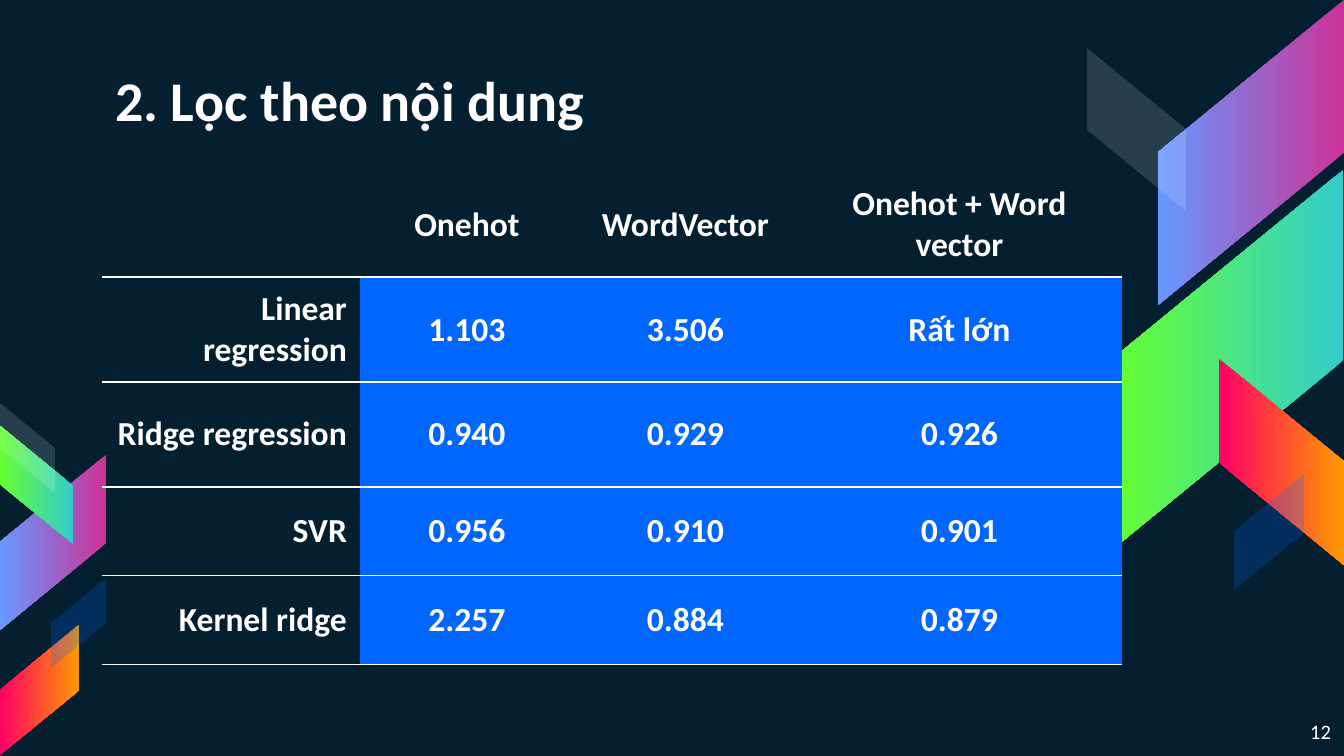
from lxml.etree import SubElement
from pptx import Presentation
from pptx.dml.color import RGBColor
from pptx.enum.shapes import MSO_SHAPE
from pptx.enum.text import MSO_ANCHOR, MSO_AUTO_SIZE, PP_ALIGN
from pptx.oxml.ns import qn
from pptx.util import Emu, Pt

EMU_PER_PX = 914400 / 134.4
WHITE, NAVY, BLUE = "FFFFFF", "041F30", "0066FF"
PINK_BLUE = ("CC3399", "6699FF")
TEAL_GREEN = ("33CCCC", "66FF33")
RED_ORANGE = ("FF0066", "FF9900")

# Each band: left, top, width, height, turn, rising, fill.
# A fill is a pair of gradient colours, or a colour with its opacity in percent.
RIGHT_BANDS = [
    (71, 0, 186, 305, 90, True, PINK_BLUE),
    (26, 170, 230, 379, 90, True, TEAL_GREEN),
    (132, 359, 125, 206, 270, False, RED_ORANGE),
    (0, 48, 99, 163, 270, False, (WHITE, 14)),
    (147, 474, 70, 116, 270, True, (BLUE, 23)),
]
LEFT_BANDS = [
    (0, 52, 106, 175, 90, True, PINK_BLUE),
    (0, 23, 73, 118, 90, False, TEAL_GREEN),
    (0, 222, 79, 130, 270, True, RED_ORANGE),
    (0, 0, 55, 90, 270, False, (WHITE, 14)),
    (51, 175, 55, 90, 270, True, (BLUE, 23)),
]

COLUMN_WIDTHS = [258, 214, 223, 325]
ROW_HEIGHTS = [105, 105, 105, 89, 89]
RESULTS = [
    ["", "Onehot", "WordVector", "Onehot + Word vector"],
    ["Linear regression", "1.103", "3.506", "Rất lớn"],
    ["Ridge regression", "0.940", "0.929", "0.926"],
    ["SVR", "0.956", "0.910", "0.901"],
    ["Kernel ridge", "2.257", "0.884", "0.879"],
]


def px(length):
    return Emu(round(length * EMU_PER_PX))


def rgb(color):
    return RGBColor.from_string(color)


def fill_solid(fill, color, opacity=100):
    fill.solid()
    fill.fore_color.rgb = rgb(color)
    if opacity < 100:
        color_element = next(fill._xPr.iter(qn("a:srgbClr")))
        SubElement(color_element, qn("a:alpha"), val=str(opacity * 1000))


def write(paragraph, text, size, bold=False, align=PP_ALIGN.LEFT):
    paragraph.alignment = align
    run = paragraph.add_run()
    run.text = text
    run.font.name = "Calibri"
    run.font.size = Pt(size)
    run.font.bold = bold
    run.font.color.rgb = rgb(WHITE)


def set_margins(frame, margin):
    frame.margin_left = frame.margin_right = px(margin)
    frame.margin_top = frame.margin_bottom = px(margin)


def add_band(slide, left, top, width, height, turn, rising, paint):
    """Place a parallelogram, turned on its side, in the upright box given."""
    inset = (height - width) / 2
    band = slide.shapes.add_shape(
        MSO_SHAPE.PARALLELOGRAM, px(left - inset), px(top + inset), px(height), px(width)
    )
    band.adjustments[0] = 0.819
    band.rotation = turn
    if rising:
        band._element.spPr.find(qn("a:xfrm")).set("flipH", "1")
    band.shadow.inherit = False
    band.line.fill.background()
    if isinstance(paint[1], int):
        fill_solid(band.fill, *paint)
    else:
        band.fill.gradient()
        band.fill.gradient_angle = 270
        for stop, color in zip(band.fill.gradient_stops, paint):
            stop.color.rgb = rgb(color)


def add_bands(slide, left, top, bands):
    for x, y, *rest in bands:
        add_band(slide, left + x, top + y, *rest)


def add_title(slide, left, top, width, height, text):
    title = slide.shapes.title
    title.left, title.top, title.width, title.height = map(px, (left, top, width, height))
    frame = title.text_frame
    frame.auto_size = MSO_AUTO_SIZE.NONE
    frame.vertical_anchor = MSO_ANCHOR.BOTTOM
    set_margins(frame, 13)
    write(frame.paragraphs[0], text, 30, bold=True)


def set_borders(cell, ruled_sides):
    properties = cell._tc.get_or_add_tcPr()
    for side in "LRTB":
        line = SubElement(properties, qn(f"a:ln{side}"), w=str(Pt(0.75)))
        if side in ruled_sides:
            paint = SubElement(line, qn("a:solidFill"))
            SubElement(paint, qn("a:srgbClr"), val=WHITE)
        else:
            SubElement(line, qn("a:noFill"))


def add_results(slide, left, top):
    table = slide.shapes.add_table(
        len(RESULTS), len(COLUMN_WIDTHS), px(left), px(top),
        px(sum(COLUMN_WIDTHS)), px(sum(ROW_HEIGHTS)),
    ).table
    table.first_row = table.horz_banding = False
    for column, width in zip(table.columns, COLUMN_WIDTHS):
        column.width = px(width)
    for row, height in zip(table.rows, ROW_HEIGHTS):
        row.height = px(height)

    for r, values in enumerate(RESULTS):
        for c, value in enumerate(values):
            cell = table.cell(r, c)
            cell.vertical_anchor = MSO_ANCHOR.MIDDLE
            cell.margin_left = cell.margin_right = px(13)
            cell.margin_top = cell.margin_bottom = px(9)
            set_borders(cell, "TB" if r else "B")
            if r and c:
                fill_solid(cell.fill, BLUE, 23)
            else:
                cell.fill.background()
            if value:
                align = PP_ALIGN.CENTER if c else PP_ALIGN.RIGHT
                write(cell.text_frame.paragraphs[0], value, 18, True, align)


def add_page_number(slide, left, top, width, height, number):
    frame = slide.shapes.add_textbox(*map(px, (left, top, width, height))).text_frame
    frame.word_wrap = True
    set_margins(frame, 13)
    write(frame.paragraphs[0], number, 11, align=PP_ALIGN.RIGHT)


def main():
    presentation = Presentation()
    presentation.slide_width, presentation.slide_height = px(1344), px(756)
    slide = presentation.slides.add_slide(presentation.slide_layouts[5])
    fill_solid(slide.background.fill, NAVY)
    add_bands(slide, 1087, 0, RIGHT_BANDS)
    add_bands(slide, 0, 403, LEFT_BANDS)
    add_title(slide, 102, 52, 878, 94, "2. Lọc theo nội dung")
    add_results(slide, 102, 172)
    add_page_number(slide, 1258, 707, 86, 48, "12")
    presentation.save("out.pptx")


if __name__ == "__main__":
    main()
